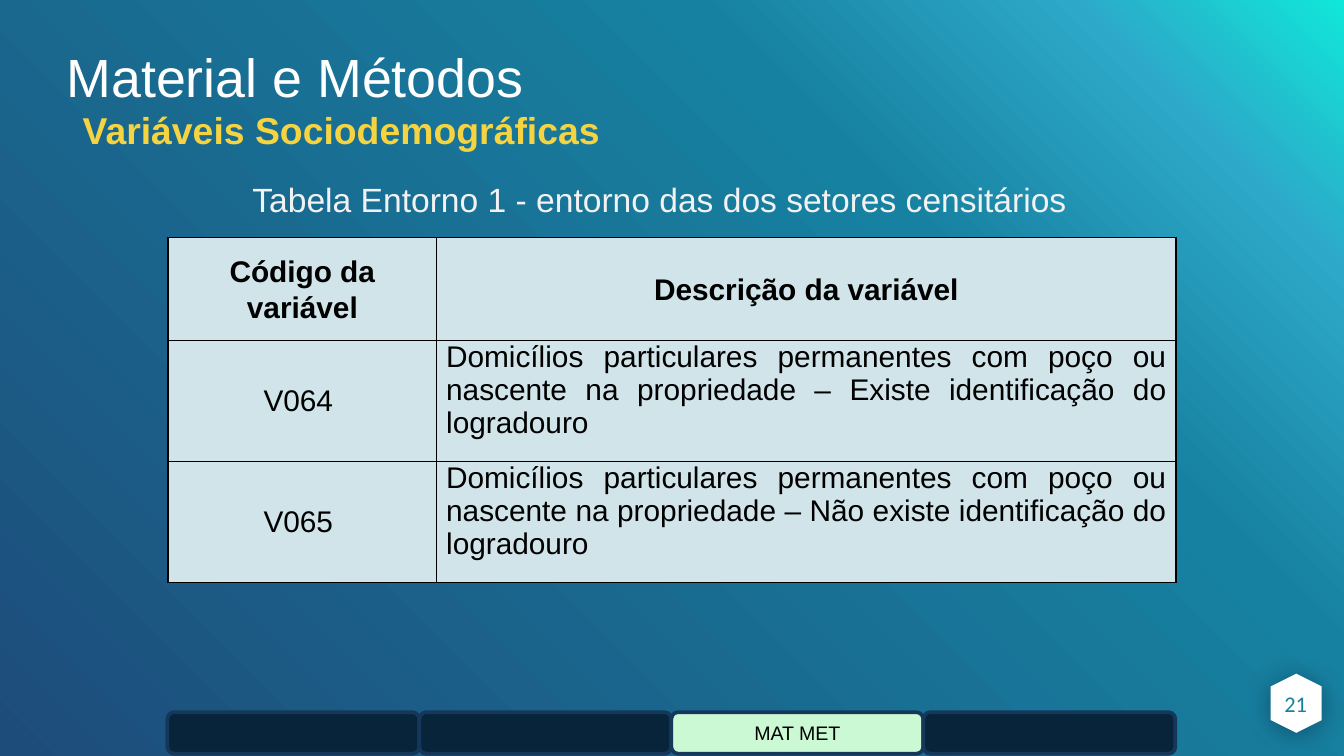
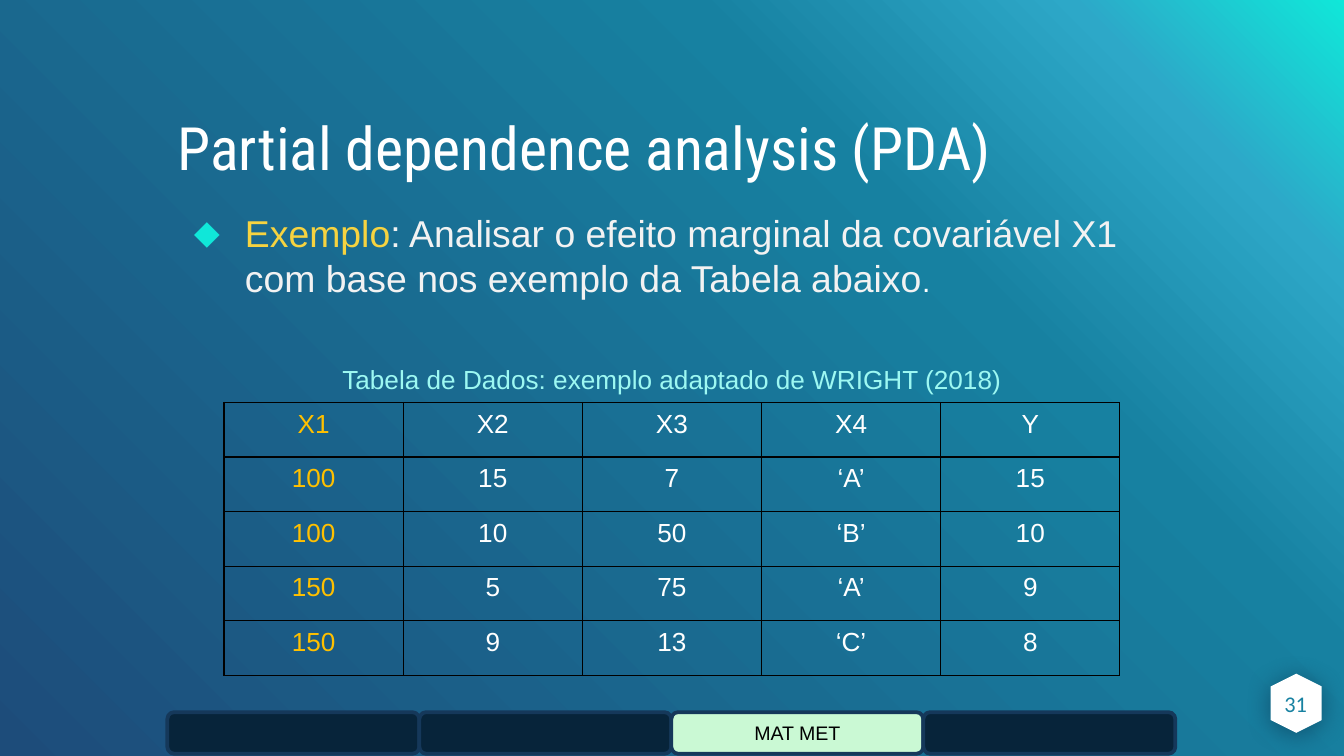
"""Build two slides on methods, with tables and a row of section tabs."""
import dataclasses

import lxml.etree
import pptx
import pptx.dml.color
import pptx.enum.shapes
import pptx.enum.text
import pptx.oxml
import pptx.oxml.ns
import pptx.util

Pt = pptx.util.Pt
Inches = pptx.util.Inches
Align = pptx.enum.text.PP_ALIGN
Anchor = pptx.enum.text.MSO_ANCHOR
Form = pptx.enum.shapes.MSO_SHAPE
qn = pptx.oxml.ns.qn

WIDE = Inches(10)
HIGH = WIDE * 9 // 16
TABS = ("", "", "MAT MET", "")


@dataclasses.dataclass(frozen=True)
class Theme:
    sans: str = "Arial"
    slim: str = "Roboto Condensed"
    digit: str = "Calibri"
    white: str = "FFFFFF"
    pale: str = "F2F2F2"
    black: str = "000000"
    yellow: str = "F6D340"
    amber: str = "FFC000"
    aqua: str = "10E7D9"
    mint: str = "9DF8F2"
    teal: str = "1781A1"
    cell: str = "D0E4E9"
    tab: str = "07243A"
    lit: str = "CAF9D4"
    edge: str = "15385A"
    shade: str = "082A44"
    fade: tuple = ((0, "10E7D9"), (13, "2DA8C8"), (31, "1781A1"), (100, "1D4C7A"))
    tiny: float = 10.5
    page: float = 12
    small: float = 14
    text: float = 16
    label: float = 18
    lead: float = 20
    head: float = 28.8
    large: float = 32


T = Theme()


def area(left, top, width, height):
    """Turn percent shares of the slide into lengths."""
    return tuple(int(share * side / 100) for share, side in
                 ((left, WIDE), (top, HIGH), (width, WIDE), (height, HIGH)))


def rgb(code):
    """Read a hex colour."""
    return pptx.dml.color.RGBColor.from_string(code)


def node(tag, parent, **attrs):
    """Add a drawing element below a parent."""
    return lxml.etree.SubElement(parent, qn(tag), attrs)


def shade(parent, blur, drop):
    """Add a soft shadow that falls straight down."""
    effect = node("a:effectLst", parent)
    glow = node("a:outerShdw", effect, blurRad=str(Pt(blur)), dist=str(Pt(drop)),
                dir="5400000", algn="ctr", rotWithShape="0")
    node("a:alpha", node("a:srgbClr", glow, val=T.shade), val="50000")
    return effect


def lift(para):
    """Give the runs of a paragraph a shadow."""
    for run in para.runs:
        props = run._r.get_or_add_rPr()
        effect = shade(props, 4, 1.5)
        fill = props.find(qn("a:solidFill"))
        if fill is not None:
            fill.addnext(effect)


def style(font, size, color, face=T.sans, bold=False):
    """Set the look of a paragraph or run."""
    font.size, font.name, font.bold = Pt(size), face, bold
    font.color.rgb = rgb(color)


def write(frame, text, size, color, face=T.sans, bold=False, align=Align.LEFT):
    """Fill a text frame with one paragraph."""
    para = frame.paragraphs[0]
    para.text = text
    para.alignment = align
    style(para.font, size, color, face, bold)
    return para


def trim(frame, anchor):
    """Remove the insets and fix the anchor of a frame."""
    frame.margin_left = frame.margin_right = 0
    frame.margin_top = frame.margin_bottom = 0
    frame.vertical_anchor = anchor
    frame.word_wrap = True
    frame.auto_size = pptx.enum.text.MSO_AUTO_SIZE.NONE


def place(shape, box):
    """Move a shape to its area."""
    shape.left, shape.top, shape.width, shape.height = box


def title(slide, text, box, size, face, space):
    """Format the title placeholder."""
    shape = slide.shapes.title
    place(shape, box)
    trim(shape.text_frame, Anchor.MIDDLE)
    para = write(shape.text_frame, text, size, T.white, face)
    para.line_spacing = space
    lift(para)


def note(slide, text, box, size, color, **look):
    """Add a wrapped text box."""
    frame = slide.shapes.add_textbox(*box).text_frame
    frame.word_wrap = True
    write(frame, text, size, color, **look)
    return frame


def point(slide, box, parts):
    """Fill the body placeholder with one bullet of styled runs."""
    shape = slide.placeholders[1]
    place(shape, box)
    trim(shape.text_frame, Anchor.TOP)
    para = shape.text_frame.paragraphs[0]
    props = para._p.get_or_add_pPr()
    props.set("marL", str(Inches(0.5)))
    props.set("indent", str(Inches(-0.38)))
    node("a:srgbClr", node("a:buClr", props), val=T.aqua)
    node("a:buChar", props, char="⬥")
    para.space_before = Pt(0)
    for text, size, color in parts:
        run = para.add_run()
        run.text = text
        style(run.font, size, color)
    lift(para)


def border(cell):
    """Draw thin black lines round a cell."""
    props = cell._tc.get_or_add_tcPr()
    for spot, side in enumerate(("a:lnL", "a:lnR", "a:lnT", "a:lnB")):
        line = node(side, props, w=str(Pt(0.75)))
        node("a:srgbClr", node("a:solidFill", line), val=T.black)
        props.insert(spot, line)


def table(slide, rows, box, widths, heights, dress):
    """Add a bordered table and dress each cell."""
    grid = slide.shapes.add_table(len(rows), len(widths), *box).table
    grid.first_row = grid.horz_banding = False
    for column, share in zip(grid.columns, widths):
        column.width = int(box[2] * share / sum(widths))
    for row, share in zip(grid.rows, heights):
        row.height = int(box[3] * share / sum(heights))
    for r, line in enumerate(rows):
        for c, text in enumerate(line):
            cell = grid.cell(r, c)
            dress(cell, text, r, c)
            border(cell)


def code(cell, text, r, c):
    """Dress a cell of the table of codes."""
    cell.fill.solid()
    cell.fill.fore_color.rgb = rgb(T.cell)
    head, prose = r == 0, r > 0 and c == 1
    cell.margin_left = cell.margin_right = Inches(0.05 if head else 0.07)
    cell.margin_top = cell.margin_bottom = Inches(0.05 if head else 0)
    cell.vertical_anchor = Anchor.TOP if prose else Anchor.MIDDLE
    para = write(cell.text_frame, text, T.text, T.black, bold=head,
                 align=Align.JUSTIFY if prose else Align.CENTER)
    para.space_after = Pt(12)
    if head:
        para.line_spacing = 1.07


def datum(cell, text, r, c):
    """Dress a cell of the table of data."""
    cell.fill.background()
    write(cell.text_frame, text, T.small, T.white if c else T.amber,
          align=Align.CENTER)


def badge(slide, number):
    """Add the hexagon with the page number."""
    shape = slide.shapes.add_shape(Form.HEXAGON, *area(94.25, 89.65, 4.4, 6.76))
    shape.rotation = 270
    shape.fill.solid()
    shape.fill.fore_color.rgb = rgb(T.white)
    shape.line.fill.background()
    shade(shape._element.spPr, 13.5, 1.5)
    frame = note(slide, number, area(94.5, 89.2, 3.8, 7.82), T.page, T.teal,
                 face=T.digit, align=Align.CENTER)
    trim(frame, Anchor.MIDDLE)


def tabs(slide):
    """Add the row of section tabs, with the named one lit."""
    group = slide.shapes.add_group_shape()
    step = 75 / len(TABS)
    for index, name in enumerate(TABS):
        box = area(12.45 + index * step, 94.2, step, 5.51)
        shape = group.shapes.add_shape(Form.ROUNDED_RECTANGLE, *box)
        shape.shadow.inherit = False
        shape.fill.solid()
        shape.fill.fore_color.rgb = rgb(T.lit if name else T.tab)
        shape.line.color.rgb = rgb(T.edge)
        shape.line.width = Pt(2)
        if name:
            shape.text_frame.vertical_anchor = Anchor.MIDDLE
            write(shape.text_frame, name, T.tiny, T.black, align=Align.CENTER)


def backdrop(master):
    """Give the master its diagonal gradient."""
    fill = master.background.fill
    fill.gradient()
    fill.gradient_angle = 225
    stops = next(master.element.iter(qn("a:gsLst")))
    for stop in list(stops):
        stops.remove(stop)
    for share, color in T.fade:
        stop = node("a:gs", stops, pos=str(share * 1000))
        node("a:srgbClr", stop, val=color)


def census(deck):
    """Build the slide of census variables."""
    slide = deck.slides.add_slide(deck.slide_layouts[5])
    title(slide, "Material e Métodos", area(4.95, 7.75, 73.6, 6.76),
          T.head, T.sans, 0.7)
    frame = note(slide, "Variáveis Sociodemográficas", area(4.95, 14.22, 66.8, 8),
                 T.lead, T.yellow, bold=True)
    trim(frame, Anchor.TOP)
    para = frame.paragraphs[0]
    para._p.get_or_add_pPr().set("marL", str(Inches(0.12)))
    lift(para)
    note(slide, "Tabela Entorno 1 - entorno das dos setores censitários",
         area(17.8, 22.76, 64.3, 7.11), T.label, T.pale)
    stem = "Domicílios particulares permanentes com poço ou nascente na propriedade – "
    rows = (("Código da variável", "Descrição da variável"),
            ("V064 ", stem + "Existe identificação do logradouro"),
            ("V065 ", stem + "Não existe identificação do logradouro"))
    table(slide, rows, area(12.5, 31.47, 75, 45.6), (2, 5.5),
          (0.76, 0.9, 0.9), code)
    badge(slide, "21")
    tabs(slide)


def partial(deck):
    """Build the slide of the worked example."""
    slide = deck.slides.add_slide(deck.slide_layouts[1])
    title(slide, "Partial dependence analysis (PDA)",
          area(13.2, 16.6, 73.6, 6.76), T.large, T.slim, 0.9)
    point(slide, area(13.22, 27.83, 73.6, 59.02), (
        ("Exemplo", T.lead, T.yellow),
        (": Analisar o efeito marginal da covariável X1 com base nos exemplo "
         "da Tabela abaixo", T.lead, T.pale),
        (".", T.text, T.white)))
    note(slide, "Tabela de Dados: exemplo adaptado de WRIGHT (2018)",
         area(16.67, 47.22, 66.67, 6.04), T.small, T.mint, align=Align.CENTER)
    rows = (("X1", "X2", "X3", "X4", "Y"),
            ("100", "15", "7", "‘A’", "15"),
            ("100", "10", "50", "‘B’", "10"),
            ("150", "5", "75", "‘A’", "9"),
            ("150", "9", "13", "‘C’", "8"))
    table(slide, rows, area(16.67, 53.25, 66.67, 36.09), (1,) * 5, (1,) * 5, datum)
    badge(slide, "31")
    tabs(slide)


def main():
    """Build and save the deck."""
    deck = pptx.Presentation()
    deck.slide_width, deck.slide_height = WIDE, HIGH
    backdrop(deck.slide_master)
    census(deck)
    partial(deck)
    deck.save("out.pptx")


if __name__ == "__main__":
    main()
